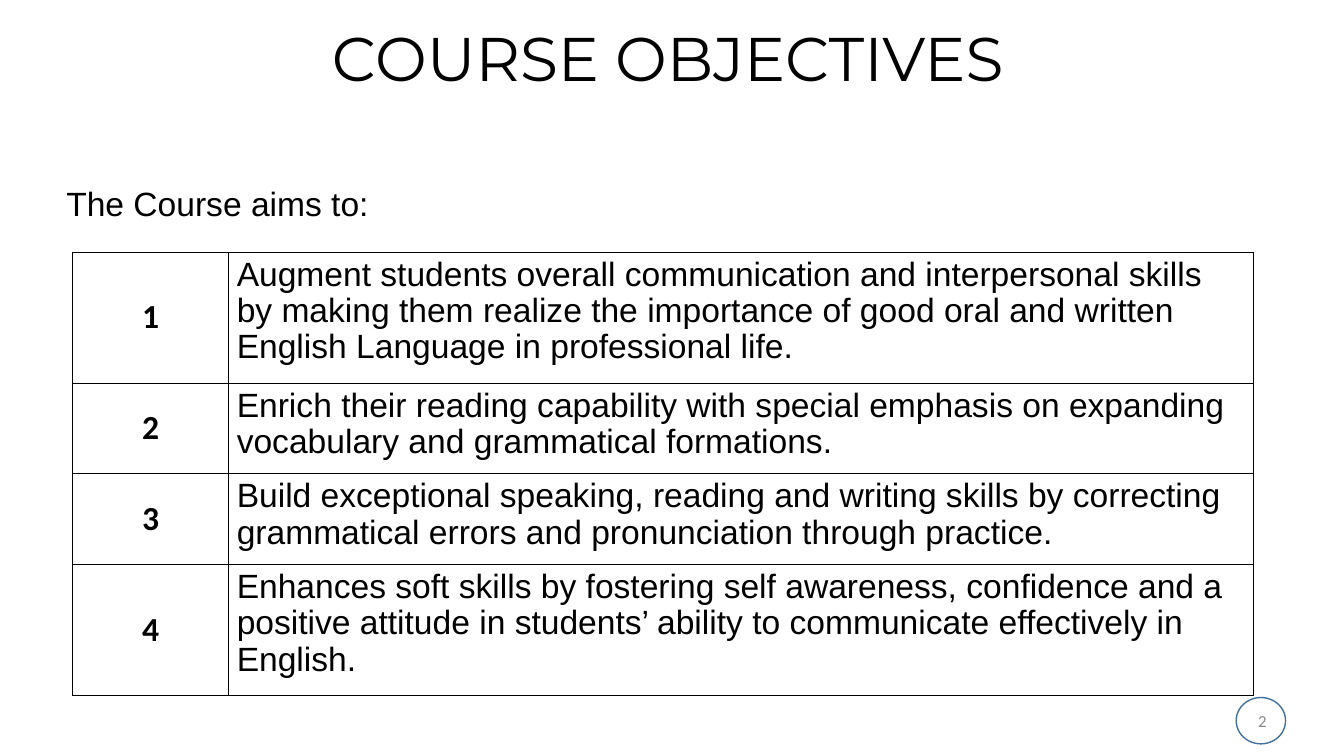
from dataclasses import dataclass

from lxml import etree
from pptx import Presentation
from pptx import util as u
from pptx.dml.color import RGBColor
from pptx.enum import shapes, text
from pptx.oxml.ns import qn


@dataclass(frozen=True)
class Theme:
    ink: str = "000000"
    muted: str = "898989"
    ring: str = "41719C"
    title_font: str = "Montserrat"
    body_font: str = "Arial"
    number_font: str = "Calibri"
    title_size: int = 44
    body_size: int = 24
    page_size: int = 12
    border_width: float = 0.45


THEME = Theme()

OBJECTIVES = [
    "Augment students overall communication and interpersonal skills by making them realize "
    "the importance of good oral and written English Language in professional life.",
    "Enrich their reading capability with special emphasis on expanding vocabulary and "
    "grammatical formations.",
    "Build exceptional speaking, reading and writing skills by correcting grammatical errors "
    "and pronunciation through practice.",
    "Enhances soft skills by fostering self awareness, confidence and a positive attitude in "
    "students’ ability to communicate effectively in English.",
]
COLUMN_WIDTHS = (1.55, 10.17)
ROW_HEIGHTS = (1.3, 0.9, 0.9, 1.3)


def write_text(frame, content, font=THEME.body_font, size=THEME.body_size, color=THEME.ink,
               bold=False, align=text.PP_ALIGN.LEFT, line_spacing=1.0):
    paragraph = frame.paragraphs[0]
    paragraph.alignment = align
    paragraph.line_spacing = line_spacing
    run = paragraph.add_run()
    run.text = content
    run.font.name = font
    run.font.size = u.Pt(size)
    run.font.bold = bold
    run.font.color.rgb = RGBColor.from_string(color)


def add_title(slide, content):
    title = slide.shapes.title
    title.left, title.top = u.Inches(2.36), u.Inches(0.02)
    title.width, title.height = u.Inches(8.54), u.Inches(1.09)
    title.text_frame.vertical_anchor = text.MSO_ANCHOR.MIDDLE
    write_text(title.text_frame, content, font=THEME.title_font, size=THEME.title_size,
               align=text.PP_ALIGN.CENTER)


def add_label(slide, content, left, top, width, height, wrap=True,
              anchor=text.MSO_ANCHOR.TOP, **text_format):
    box = slide.shapes.add_textbox(*map(u.Inches, (left, top, width, height)))
    box.text_frame.word_wrap = wrap
    box.text_frame.vertical_anchor = anchor
    write_text(box.text_frame, content, **text_format)


def add_ring(slide, left, top, width, height):
    ring = slide.shapes.add_shape(shapes.MSO_SHAPE.OVAL,
                                  *map(u.Inches, (left, top, width, height)))
    ring.shadow.inherit = False
    ring.fill.background()
    ring.line.color.rgb = RGBColor.from_string(THEME.ring)
    ring.line.width = u.Pt(1)


def style_cell(cell):
    cell.margin_left = cell.margin_right = u.Inches(0.08)
    cell.margin_top = cell.margin_bottom = u.Inches(0.05)
    properties = cell._tc.get_or_add_tcPr()
    for side in ("a:lnL", "a:lnR", "a:lnT", "a:lnB"):
        line = etree.SubElement(properties, qn(side), w=str(u.Pt(THEME.border_width)))
        fill = etree.SubElement(line, qn("a:solidFill"))
        etree.SubElement(fill, qn("a:srgbClr"), val=THEME.ink)
    cell.fill.background()


def add_objectives_table(slide, left, top):
    frame = slide.shapes.add_table(
        len(OBJECTIVES), len(COLUMN_WIDTHS), u.Inches(left), u.Inches(top),
        u.Inches(sum(COLUMN_WIDTHS)), u.Inches(sum(ROW_HEIGHTS)))
    table = frame.table
    table.first_row = table.horz_banding = False
    for column, width in zip(table.columns, COLUMN_WIDTHS):
        column.width = u.Inches(width)

    for index, (objective, height) in enumerate(zip(OBJECTIVES, ROW_HEIGHTS)):
        table.rows[index].height = u.Inches(height)
        number_cell, objective_cell = table.rows[index].cells
        style_cell(number_cell)
        style_cell(objective_cell)
        number_cell.vertical_anchor = text.MSO_ANCHOR.MIDDLE
        write_text(number_cell.text_frame, str(index + 1), font=THEME.number_font,
                   bold=True, align=text.PP_ALIGN.CENTER)
        write_text(objective_cell.text_frame, objective, line_spacing=0.97)


def main():
    presentation = Presentation()
    presentation.slide_width = u.Inches(13.34)
    presentation.slide_height = u.Inches(7.5)
    title_only = presentation.slide_layouts[5]
    slide = presentation.slides.add_slide(title_only)

    # Page number in its ring
    add_label(slide, "2", 9.67, 6.95, 3, 0.4, anchor=text.MSO_ANCHOR.MIDDLE,
              font=THEME.number_font, size=THEME.page_size, color=THEME.muted,
              align=text.PP_ALIGN.RIGHT)
    add_ring(slide, 12.27, 6.92, 0.49, 0.46)

    # Heading, lead-in and objectives
    add_title(slide, "COURSE OBJECTIVES")
    add_objectives_table(slide, 0.72, 2.5)
    add_label(slide, "The Course aims to:", 0.56, 1.77, 3.2, 0.5, wrap=False)

    presentation.save("out.pptx")


if __name__ == "__main__":
    main()
